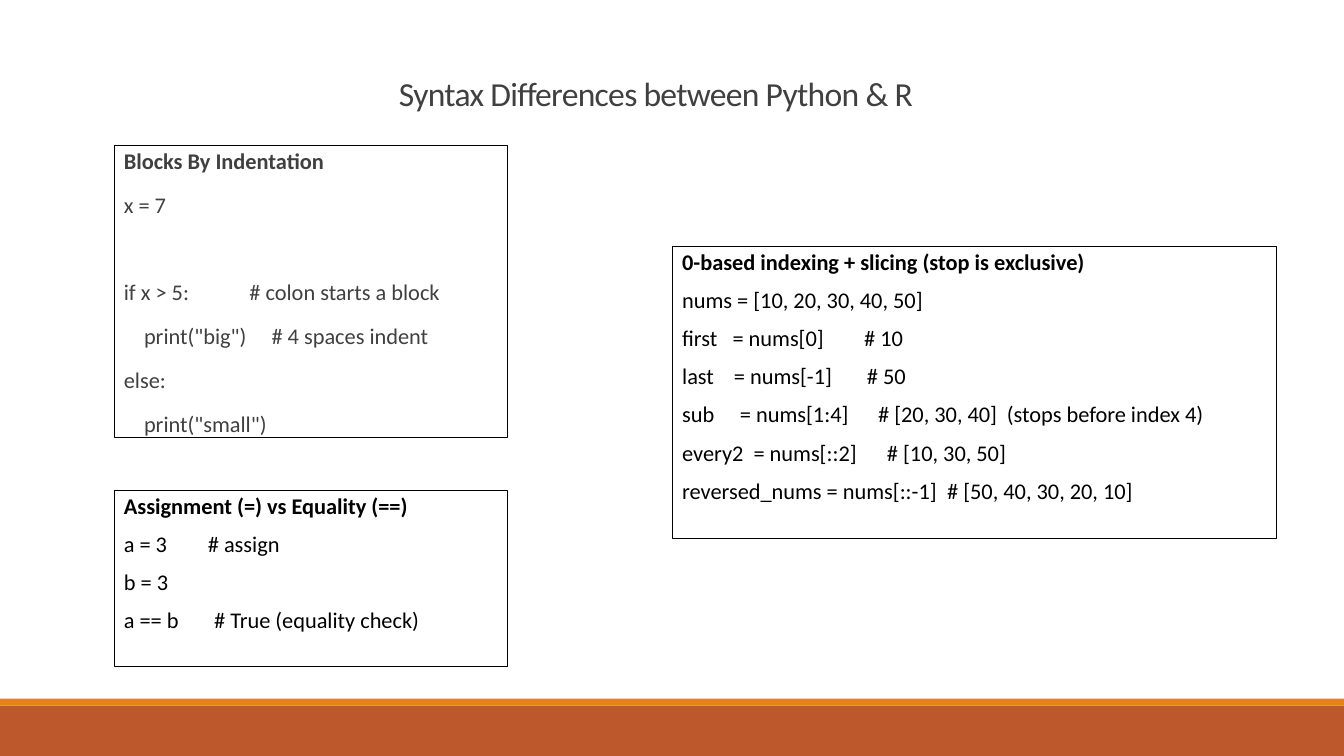
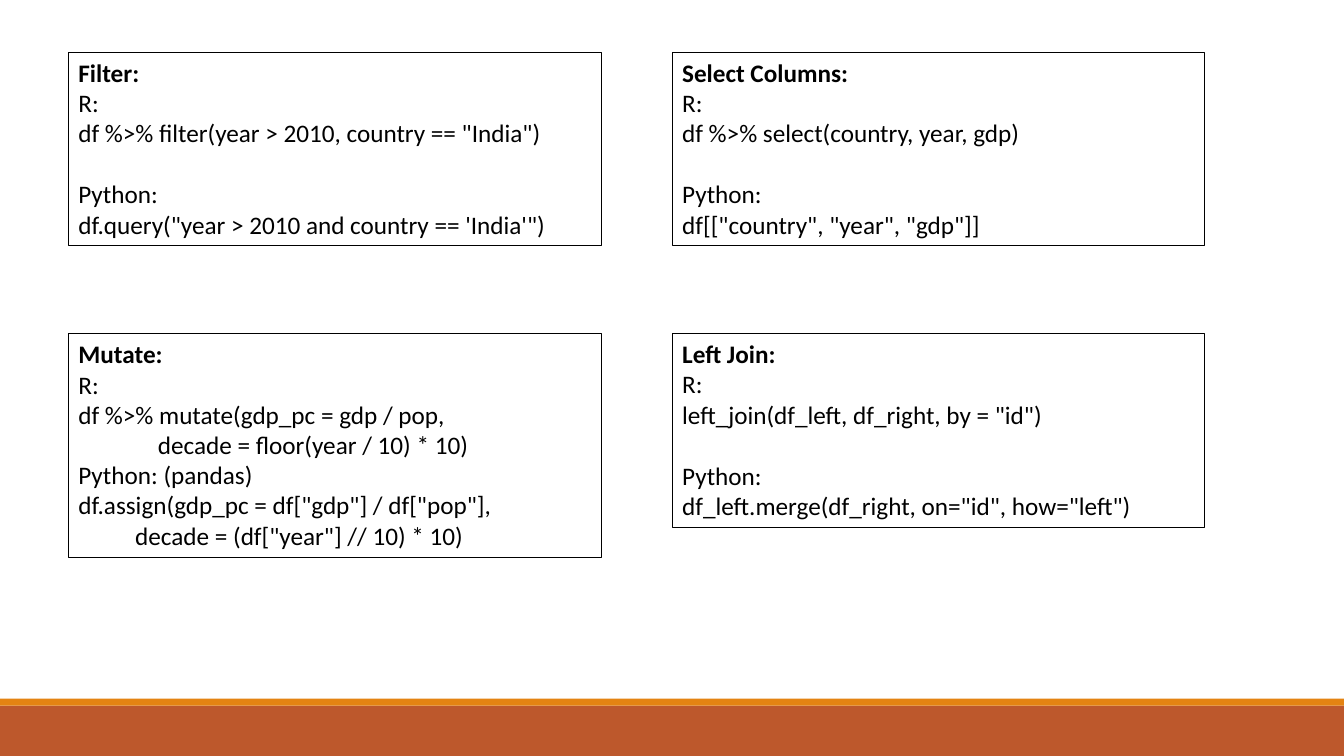
import pptx
import pptx.dml.color
import pptx.enum.shapes
import pptx.enum.text
import pptx.oxml.ns
import pptx.util
from lxml import etree

Pt = pptx.util.Pt
RECTANGLE = pptx.enum.shapes.MSO_SHAPE.RECTANGLE
FIT = pptx.enum.text.MSO_AUTO_SIZE
WIDTH, HEIGHT = 960, 540
BLACK, GREY = "000000", "404040"
BANDS = [(504, 36, "BD582C"), (499, 5, "E48312")]  # top, height, colour

# Text styles; "gap" is the height of one skipped line
TITLE = {"size": 24, "color": GREY, "spacing": 0.85, "before": 0, "after": 0, "gap": 0}
BLOCK = {"size": 16, "color": GREY, "spacing": 0.9, "before": 12, "after": 2, "gap": 31.4}
CODE = {"size": 16, "color": BLACK, "spacing": 0.9, "before": 10, "after": 0, "gap": 27.2}
VERB = {"size": 18, "color": BLACK, "spacing": 1.0, "before": 0, "after": 0, "gap": 22}


def rgb(value):
    return pptx.dml.color.RGBColor.from_string(value)


def write_lines(box, lines, style, gap_at=None, heading=True):
    """Each line is (text, *tab stops); gap_at is the line that follows a skipped one."""
    frame = box.text_frame
    settings = {"word_wrap": True, "auto_size": FIT.NONE,
                "vertical_anchor": pptx.enum.text.MSO_ANCHOR.TOP}
    for name, value in settings.items():
        setattr(frame, name, value)
    for index, (text, *stops) in enumerate(lines):
        para = frame.add_paragraph() if index else frame.paragraphs[0]
        if stops:
            tabs = etree.SubElement(para._p.get_or_add_pPr(), pptx.oxml.ns.qn("a:tabLst"))
            for stop in stops:
                etree.SubElement(tabs, pptx.oxml.ns.qn("a:tab"), pos=str(Pt(stop)), algn="l")
        before = style["before"] if index else 0
        if index == gap_at:
            before += style["gap"]
        layout = {"alignment": pptx.enum.text.PP_ALIGN.LEFT, "line_spacing": style["spacing"],
                  "space_before": Pt(before), "space_after": Pt(style["after"])}
        for name, value in layout.items():
            setattr(para, name, value)
        span = para.add_run()
        span.text = text
        looks = {"name": "Calibri", "size": Pt(style["size"]), "bold": heading and index == 0}
        for name, value in looks.items():
            setattr(span.font, name, value)
        span.font.color.rgb = rgb(style["color"])


# Slide 1: syntax boxes, as (left, top, width, height), style, gap line, lines
syntax_boxes = [
    ((81.4, 103.7, 280.8, 208.8), BLOCK, 2, [
        ("Blocks By Indentation",),
        ("x = 7",),
        ("if x > 5:\t# colon starts a block", 89.7),
        ("    print(\"big\")\t# 4 spaces indent", 105.5),
        ("else:",),
        ("    print(\"small\")",),
    ]),
    ((480.2, 175.7, 431.3, 208.8), CODE, None, [
        ("0-based indexing + slicing (stop is exclusive)",),
        ("nums = [10, 20, 30, 40, 50]",),
        ("first\t= nums[0]\t# 10", 36, 130),
        ("last\t= nums[-1]\t# 50", 37, 132),
        ("sub\t= nums[1:4]\t# [20, 30, 40]\t(stops before index 4)", 41.3, 140, 232),
        ("every2\t= nums[::2]\t# [10, 30, 50]", 51, 146.3),
        ("reversed_nums = nums[::-1]\t# [50, 40, 30, 20, 10]", 189.3),
    ]),
    ((81.4, 349.9, 280.8, 126), CODE, None, [
        ("Assignment (=) vs Equality (==)",),
        ("a = 3\t# assign", 60),
        ("b = 3",),
        ("a == b\t# True (equality check)", 64.5),
    ]),
]

# Slide 2: data verbs on a two by two grid, as gap line, lines
verbs = [
    (3, ["Filter:", "R:", "df %>% filter(year > 2010, country == \"India\")",
         "Python:", "df.query(\"year > 2010 and country == 'India'\")"]),
    (3, ["Select Columns:", "R:", "df %>% select(country, year, gdp)",
         "Python:", "df[[\"country\", \"year\", \"gdp\"]]"]),
    (None, ["Mutate:", "R:", "df %>% mutate(gdp_pc = gdp / pop,",
            "              decade = floor(year / 10) * 10)",
            "Python: (pandas)", "df.assign(gdp_pc = df[\"gdp\"] / df[\"pop\"],",
            "          decade = (df[\"year\"] // 10) * 10)"]),
    (3, ["Left Join:", "R:", "left_join(df_left, df_right, by = \"id\")",
         "Python:", "df_left.merge(df_right, on=\"id\", how=\"left\")"]),
]
verb_boxes = []
for index, (gap_at, lines) in enumerate(verbs):
    row, column = divmod(index, 2)
    line_count = len(lines) + (gap_at is not None)
    place = (48.9 + 431.3 * column, 37.4 + 200.9 * row, 380.2, 7.2 + 21.8 * line_count)
    verb_boxes.append((place, VERB, gap_at, [(line,) for line in lines]))

# Deck
deck = pptx.Presentation()
deck.slide_width, deck.slide_height = Pt(WIDTH), Pt(HEIGHT)

for title, boxes in [("Syntax Differences between Python & R", syntax_boxes), (None, verb_boxes)]:
    page = deck.slides.add_slide(deck.slide_layouts[6])

    # Footer bands
    for top, height, color in BANDS:
        band = page.shapes.add_shape(RECTANGLE, 0, Pt(top), Pt(WIDTH), Pt(height))
        band.shadow.inherit = False
        band.fill.solid()
        band.fill.fore_color.rgb = rgb(color)
        band.line.fill.background()

    # Outlined code boxes
    for place, style, gap_at, lines in boxes:
        box = page.shapes.add_shape(RECTANGLE, *map(Pt, place))
        box.shadow.inherit = False
        box.fill.background()
        box.line.color.rgb = rgb(BLACK)
        box.line.width = Pt(0.25)
        write_lines(box, lines, style, gap_at)
        if style is VERB:
            box.text_frame.auto_size = FIT.SHAPE_TO_FIT_TEXT

    # Title with tightened letters
    if title:
        heading = page.shapes.add_textbox(Pt(277.9), Pt(52.6), Pt(404.6), Pt(51.1))
        write_lines(heading, [(title,)], TITLE, heading=False)
        heading.text_frame.paragraphs[0].runs[0]._r.get_or_add_rPr().set("spc", "-50")

deck.save("out.pptx")
